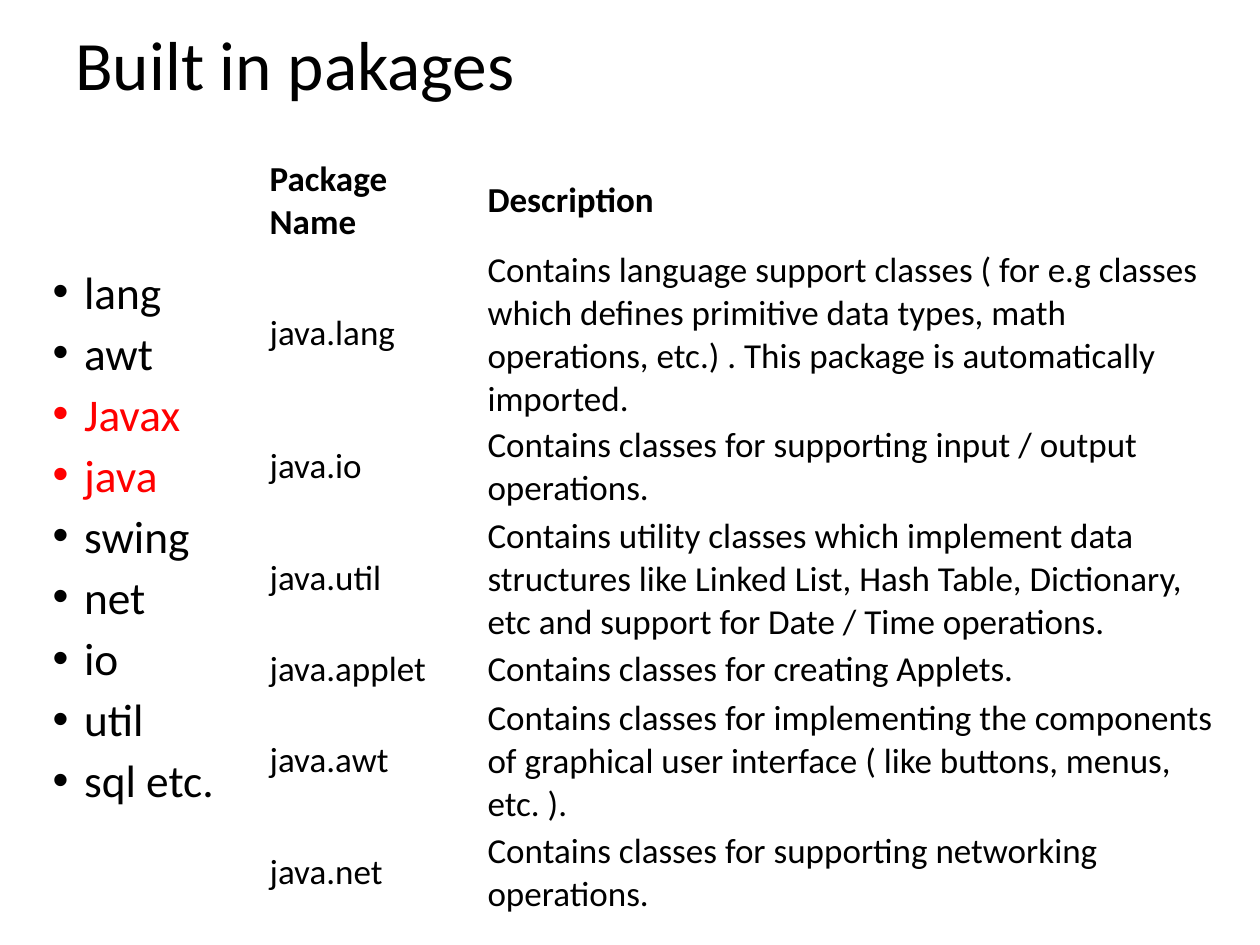
from pptx import Presentation
from pptx.dml.color import RGBColor
from pptx.enum import text
from pptx.oxml import parse_xml
from pptx.oxml.ns import nsdecls
from pptx.util import Pt

BLACK, RED = "000000", "FF0000"
TITLE = "Built in pakages"
PACKAGES = [
    ("lang", BLACK), ("awt", BLACK), ("Javax", RED), ("java", RED), ("swing", BLACK),
    ("net", BLACK), ("io", BLACK), ("util", BLACK), ("sql etc.", BLACK),
]
DESCRIPTIONS = [
    ("Package Name", "Description", 2),
    ("java.lang", "Contains language support classes ( for e.g classes which defines primitive "
     "data types, math operations, etc.) . This package is automatically imported.", 4),
    ("java.io", "Contains classes for supporting input / output operations.", 2),
    ("java.util", "Contains utility classes which implement data structures like Linked List, "
     "Hash Table, Dictionary, etc and support for Date / Time operations.", 3),
    ("java.applet", "Contains classes for creating Applets.", 1),
    ("java.awt", "Contains classes for implementing the components of graphical user interface "
     "( like buttons, menus, etc. ).", 3),
    ("java.net", "Contains classes for supporting networking operations.", 2),
]
COLUMN_WIDTHS = [124.5, 428.5]
LINE_HEIGHT, ROW_PADDING = 21.4, 3.1


def style(paragraph, size, color=BLACK, bold=False):
    for run in paragraph.runs:
        run.font.name = "Calibri"
        run.font.size = Pt(size)
        run.font.bold = bold
        run.font.color.rgb = RGBColor.from_string(color)


def add_frame(slide, left, top, width, height):
    frame = slide.shapes.add_textbox(Pt(left), Pt(top), Pt(width), Pt(height)).text_frame
    frame.word_wrap = True
    return frame


def add_title(slide):
    frame = add_frame(slide, 36, 21.6, 648, 34.6)
    frame.vertical_anchor = text.MSO_ANCHOR.MIDDLE
    frame.text = TITLE
    heading = frame.paragraphs[0]
    heading.line_spacing = 0.9
    style(heading, 39.6)


def add_package_list(slide):
    frame = add_frame(slide, 23, 118, 127.5, 356.5)
    frame.margin_top = Pt(38.9)
    frame.text = "\n".join(name for name, color in PACKAGES)
    for item, (name, color) in zip(frame.paragraphs, PACKAGES):
        item.line_spacing = 0.8
        item.space_before = Pt(10)
        properties = item._p.get_or_add_pPr()
        properties.set("marL", str(Pt(18)))
        properties.set("indent", str(-Pt(18)))
        properties.append(parse_xml(f'<a:buFont {nsdecls("a")} typeface="Arial"/>'))
        properties.append(parse_xml(f'<a:buChar {nsdecls("a")} char="•"/>'))
        style(item, 25.9, color)


def add_descriptions(slide):
    heights = [LINE_HEIGHT * lines + ROW_PADDING for *cells, lines in DESCRIPTIONS]
    table = slide.shapes.add_table(
        len(DESCRIPTIONS), len(COLUMN_WIDTHS), Pt(150.5), Pt(88.5),
        Pt(sum(COLUMN_WIDTHS)), Pt(sum(heights))).table
    table.first_row = table.horz_banding = False
    table._tbl.tblPr.find("{*}tableStyleId").text = "{2D5ABB26-0587-4C30-8999-92F81FD0307C}"
    for column, width in zip(table.columns, COLUMN_WIDTHS):
        column.width = Pt(width)
    for index, (*contents, lines) in enumerate(DESCRIPTIONS):
        table.rows[index].height = Pt(heights[index])
        for cell, content in zip(table.rows[index].cells, contents):
            cell.fill.background()
            cell.vertical_anchor = text.MSO_ANCHOR.MIDDLE
            cell.margin_left = cell.margin_right = Pt(3.6)
            cell.margin_top = cell.margin_bottom = Pt(2)
            cell.text = content
            style(cell.text_frame.paragraphs[0], 20, bold=index == 0)


def main():
    deck = Presentation()
    deck.slide_width, deck.slide_height = Pt(720), Pt(540)
    slide = deck.slides.add_slide(deck.slide_layouts[6])
    add_title(slide)
    add_package_list(slide)
    add_descriptions(slide)
    deck.save("out.pptx")


if __name__ == "__main__":
    main()
